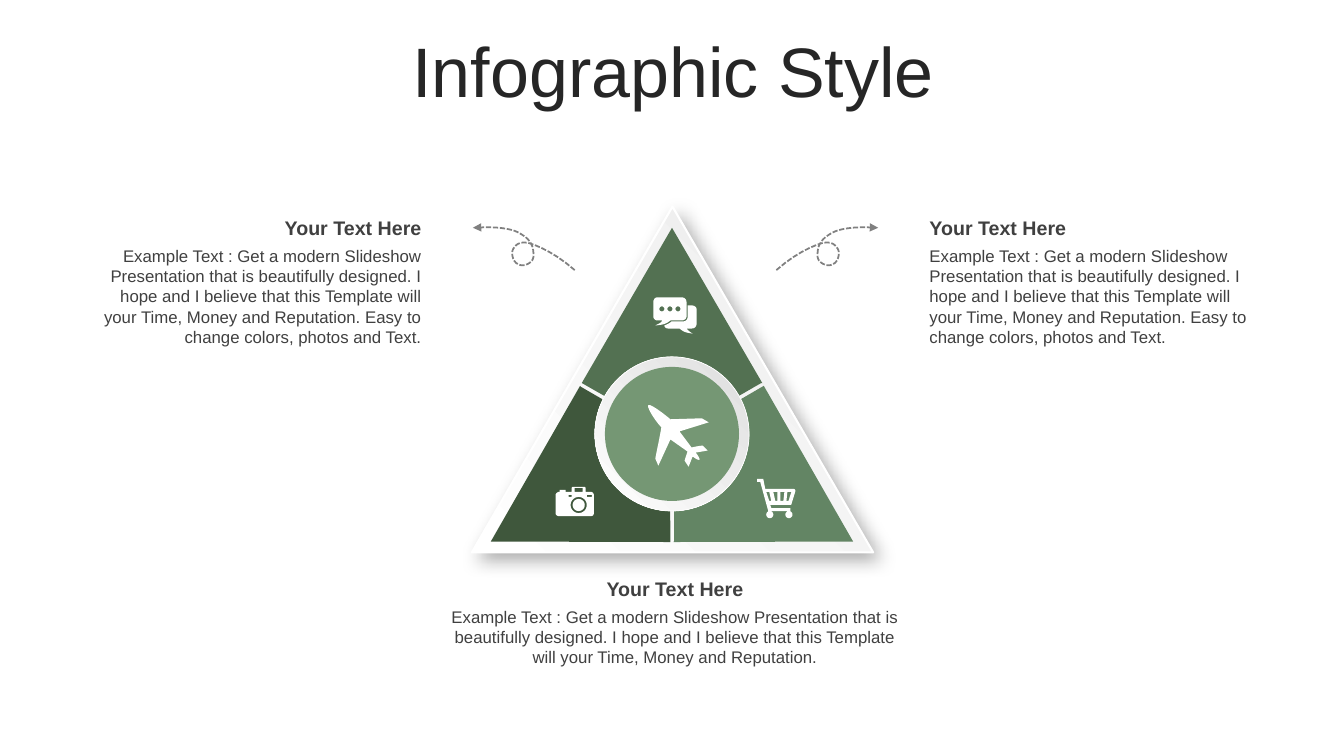
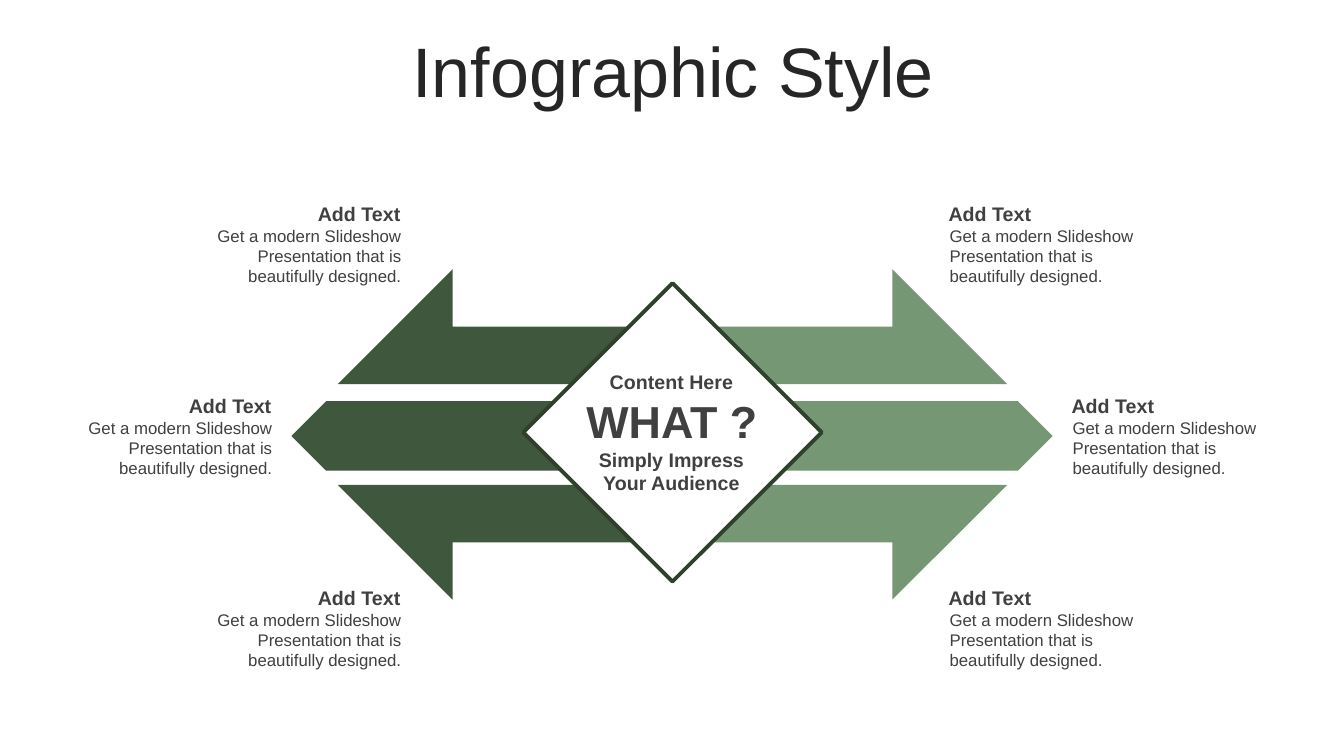
import math

import pptx
import pptx.dml.color
import pptx.enum.dml
import pptx.enum.shapes
import pptx.enum.text
import pptx.oxml
import pptx.oxml.ns
import pptx.util

COLS, ROWS = 1333, 750
CELL = pptx.util.Inches(0.01)
FONT = "Arial"
TITLE_INK, INK, GREY, WHITE = "262626", "404040", "808080", "FFFFFF"
DARK, DEEP, MID, LIGHT, EDGE = "3F573C", "537152", "638564", "759774", "2F402C"
SHAPE = pptx.enum.shapes.MSO_SHAPE
LEFT, CENTER, RIGHT = (pptx.enum.text.PP_ALIGN.LEFT, pptx.enum.text.PP_ALIGN.CENTER,
                       pptx.enum.text.PP_ALIGN.RIGHT)
TOP, MIDDLE = pptx.enum.text.MSO_ANCHOR.TOP, pptx.enum.text.MSO_ANCHOR.MIDDLE

PITCH = ("Example Text : Get a modern Slideshow Presentation that is beautifully designed. "
         "I hope and I believe that this Template will your Time, Money and Reputation.")
LONG_PITCH = PITCH + " Easy to change colors, photos and Text."
SHORT_PITCH = "Get a modern Slideshow Presentation that is beautifully designed."

LOOP = ("M770 268 C787 253 805 244 816 241 826 239 829 244 831 247 833 250 832 258 828 261 "
        "823 265 818 263 815 261 812 259 810 256 811 250 811 244 815 237 822 233 "
        "829 228 837 227 845 226 853 225 871 226 871 226")
BUBBLES = ("M682 303 L686 303 C689 303 691 305 691 307 L691 321 C691 324 689 326 686 326 "
           "L681 326 C682 327 682 328 687 331 679 330 678 329 674 326 L663 326 "
           "C661 326 659 325 659 323 661 322 664 321 666 319 L677 319 "
           "C680 319 682 317 682 315 M652 295 L676 295 C679 295 681 297 681 300 "
           "L681 314 C681 316 679 318 676 318 L665 318 C660 322 658 322 650 323 "
           "655 320 655 321 657 318 L652 318 C650 318 648 316 648 314 L648 300 "
           "C648 297 650 295 652 295")
CART = ("M781 488 L780 497 782 497 785 488 M774 488 L774 497 777 497 778 488 "
        "M767 488 L769 497 771 497 771 488 M760 488 L763 497 765 497 763 488 "
        "M757 475 L759 485 787 485 C788 485 789 486 789 487 L785 500 "
        "C785 500 785 501 784 501 L764 501 765 504 784 504 784 507 762 507 754 478 "
        "751 478 751 475")
CAMERA = ("M568 483 L580 483 581 484 581 488 586 488 C588 488 589 490 589 491 L589 509 "
          "C589 511 588 512 586 512 L554 512 C553 512 551 511 551 509 L551 491 "
          "C551 490 553 488 554 488 L555 488 555 486 561 486 561 488 567 488 567 484")
PLANE = ("M702 447 L690 449 C692 451 694 455 694 456 692 457 689 454 687 453 "
         "L683 463 679 457 682 448 665 436 653 462 650 455 C652 444 654 436 656 424 "
         "651 419 641 404 643 402 645 400 659 411 665 416 L696 415 703 419 674 428 "
         "686 444 C689 443 697 442 697 442")


def rgb(color):
    """Return a colour object for a hex string."""
    return pptx.dml.color.RGBColor.from_string(color)


def cells(*values):
    """Turn grid counts into slide lengths."""
    return [round(v * CELL) for v in values]


def bezier(a, b, c, d, t):
    """Return the point at t on a cubic curve."""
    u = 1 - t
    return tuple(u ** 3 * i + 3 * u * u * t * j + 3 * u * t * t * k + t ** 3 * m
                 for i, j, k, m in zip(a, b, c, d))


def outline(d, steps=6):
    """Turn an outline of M, L and C commands into lists of points."""
    contours = []
    for part in d.split("M")[1:]:
        pts = []
        for seg in part.replace("C", "|C").replace("L", "|L").split("|"):
            v = [float(n) for n in seg.strip("CL ").split()]
            pairs = list(zip(v[::2], v[1::2]))
            if not seg.startswith("C"):
                pts += pairs
                continue
            for i in range(0, len(pairs), 3):
                start = pts[-1]
                pts += [bezier(start, *pairs[i:i + 3], k / steps) for k in range(1, steps + 1)]
        contours.append(pts)
    return contours


def circle(x, y, r, n=32):
    """Return the points of a circle."""
    return [(x + r * math.cos(2 * math.pi * k / n), y + r * math.sin(2 * math.pi * k / n))
            for k in range(n)]


def box(x, y, w, h):
    """Return the corners of a rectangle."""
    return [(x, y), (x + w, y), (x + w, y + h), (x, y + h)]


def mirror(pts, total):
    """Reflect points left to right; opposite columns add up to total."""
    return [(total - x, y) for x, y in pts]


def turn(pts, cx, cy, degrees):
    """Rotate points clockwise about a centre."""
    c, s = math.cos(math.radians(degrees)), math.sin(math.radians(degrees))
    return [(cx + (x - cx) * c - (y - cy) * s, cy + (x - cx) * s + (y - cy) * c)
            for x, y in pts]


def paint(sp, fill=None, line=None, width=1):
    """Set fill (hex string, gradient pair or none) and line of a shape."""
    sp.shadow.inherit = False
    if isinstance(fill, tuple):
        sp.fill.gradient()
        sp.fill.gradient_angle = 225
        for stop, color, position in zip(sp.fill.gradient_stops, fill, (0, 1)):
            stop.color.rgb = rgb(color)
            stop.position = position
    elif fill:
        sp.fill.solid()
        sp.fill.fore_color.rgb = rgb(fill)
    else:
        sp.fill.background()
    if line:
        sp.line.color.rgb = rgb(line)
        sp.line.width = pptx.util.Pt(width)
    else:
        sp.line.fill.background()
    return sp


def preset(s, kind, x, y, w, h, fill, line=None, width=1):
    """Add a preset shape placed on the grid."""
    return paint(s.shapes.add_shape(kind, *cells(x, y, w, h)), fill, line, width)


def freeform(s, contours, fill=None, line=None, width=1, closed=True):
    """Add one shape made of one or more contours."""
    builder = s.shapes.build_freeform(*cells(*contours[0][0]))
    for i, pts in enumerate(contours):
        if i:
            builder.move_to(*cells(*pts[0]))
        builder.add_line_segments([cells(*pt) for pt in pts[1:]], close=closed)
    return paint(builder.convert_to_shape(), fill, line, width)


def soft_shadow(sp):
    """Give a shape a blurred shadow to the lower right."""
    effects = sp._element.spPr.find(pptx.oxml.ns.qn("a:effectLst"))
    effects.append(pptx.oxml.parse_xml(
        f'<a:outerShdw {pptx.oxml.ns.nsdecls("a")} blurRad="165100" dist="76200" dir="2700000" '
        'algn="tl" rotWithShape="0"><a:srgbClr val="000000"><a:alpha val="33000"/></a:srgbClr>'
        '</a:outerShdw>'))


def loop_arrow(s, pts):
    """Add a dashed looping arrow."""
    sp = freeform(s, [pts], None, GREY, 1.25, closed=False)
    sp.line.dash_style = pptx.enum.dml.MSO_LINE.SQUARE_DOT
    sp.line._get_or_add_ln().append(pptx.oxml.parse_xml(
        f'<a:tailEnd {pptx.oxml.ns.nsdecls("a")} type="triangle"/>'))


def text(s, x, y, w, h, lines, size, align=LEFT, bold=False, anchor=TOP, color=INK, spacing=None):
    """Add a wrapping text box with one paragraph per line."""
    tf = s.shapes.add_textbox(*cells(x, y, w, h)).text_frame
    tf.word_wrap = True
    tf.vertical_anchor = anchor
    tf.text = "\n".join(lines)
    for p in tf.paragraphs:
        p.alignment = align
        p.line_spacing = spacing
        p.font.name = FONT
        p.font.size = pptx.util.Pt(size)
        p.font.bold = bold
        p.font.color.rgb = rgb(color)


def caption(s, x, y, w, head, body, align, gap, h, shift=0):
    """Add a bold heading with a body text below it."""
    text(s, x, y, w, 34, [head], 14, align, bold=True)
    text(s, x + shift, y + gap, w, h, [body], 12, align)


def new_slide(prs, title):
    """Add a blank slide with the shared title."""
    s = prs.slides.add_slide(prs.slide_layouts[6])
    text(s, 35, 37, 1266, 79, [title], 50, CENTER, anchor=MIDDLE, color=TITLE_INK, spacing=0.8)
    return s


def triangle_slide(prs):
    """Build the three-part triangle with captions."""
    s = new_slide(prs, "Infographic Style")
    soft_shadow(preset(s, SHAPE.ISOSCELES_TRIANGLE, 468, 205, 398, 343,
                       ("EBEBEB", WHITE), WHITE, 1.5))
    part = [(666.5, 226), (756, 380), (755, 380), (666.5, 431), (577, 380)]
    for i, color in enumerate((DEEP, MID, DARK)):
        freeform(s, [turn(part, 666.5, 433.5, 120 * i)], color)
    preset(s, SHAPE.OVAL, 590, 354, 153, 153, ("DEDEDE", WHITE), WHITE, 0.5)
    preset(s, SHAPE.OVAL, 600, 364, 133, 133, LIGHT)

    for x, y, w, h, align, body in ((912, 209, 347, 111, LEFT, LONG_PITCH),
                                    (81, 209, 347, 111, RIGHT, LONG_PITCH),
                                    (428, 567, 483, 71, CENTER, PITCH)):
        caption(s, x, y, w, "Your Text Here", body, align, 30, h)
    loop = outline(LOOP)[0]
    for pts in (loop, mirror(loop, 1340)):
        loop_arrow(s, pts)

    dots = [circle(656.5 + 8 * i, 306.5, 2.5) for i in range(3)]
    wheels = [circle(x, 510.5, 3.5) for x in (763.5, 782.5)]
    lens = [circle(574, 501, r) for r in (8, 6)]
    windows = [box(564, 491, 3, 2), box(582, 491, 5, 2), box(570, 484, 8, 4)]
    for contours in (outline(BUBBLES) + dots, outline(CART) + wheels,
                     outline(CAMERA) + lens + windows, outline(PLANE)):
        freeform(s, contours, WHITE)


def arrows_slide(prs):
    """Build the diamond with three arrows on each side."""
    s = new_slide(prs, "Infographic Style")
    upper = [(449, 267), (335, 381), (646, 381), (646, 324), (449, 324)]
    lower = [(x, 862 - y) for x, y in upper]
    for color, x, angle in ((LIGHT, 687, 0), (DARK, 289, 180)):
        for pts in (upper, lower):
            freeform(s, [pts if angle else mirror(pts, 1334)], color)
        preset(s, SHAPE.PENTAGON, x, 398, 357, 69, color).rotation = angle

    preset(s, SHAPE.DIAMOND, 519, 281, 296, 296, WHITE, EDGE, 2.75)
    for x, y, w, h, lines, size in (
            (546, 385, 241, 64, ["WHAT ?"], 32),
            (556, 362, 220, 34, ["Content Here"], 14),
            (556, 439, 220, 57, ["Simply Impress", "Your Audience"], 14)):
        text(s, x, y, w, h, lines, size, CENTER, bold=True, anchor=MIDDLE)

    for align, columns in ((RIGHT, (190, 62, 190)), (LEFT, (931, 1053, 931))):
        for i, x in enumerate(columns):
            caption(s, x, 195 + 190.5 * i, 217, "Add Text", SHORT_PITCH, align, 24, 71, 1)


def main():
    """Build and save the presentation."""
    prs = pptx.Presentation()
    prs.slide_width, prs.slide_height = cells(COLS, ROWS)
    triangle_slide(prs)
    arrows_slide(prs)
    prs.save("out.pptx")


if __name__ == "__main__":
    main()
